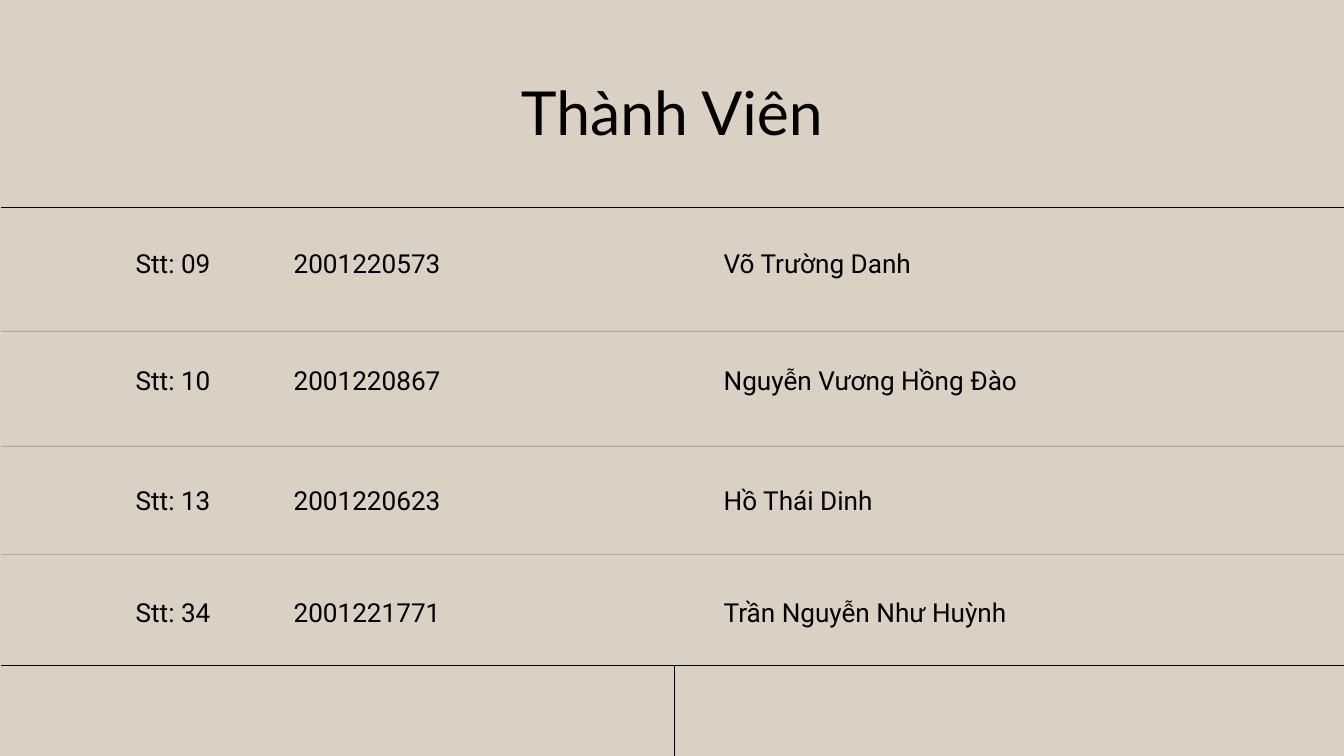
from lxml import etree
from pptx import Presentation
from pptx.dml.color import RGBColor
from pptx.enum import shapes, text
from pptx.oxml.ns import qn
from pptx import util as u

WIDTH, HEIGHT = 20, 11.25
PAPER, INK = "DBD0C4", "000000"
MARGIN = 2.02
TABS = (2.35, 8.75)  # student number and name, measured from the margin
RULE_TOP, RULE_BOTTOM = 3.08, 9.9
MIDDLE = 10.03

TITLE = "Thành Viên"
# text top, rule below (None for the last row), cells
MEMBERS = [
    (3.56, 4.93, ("Stt: 09", "2001220573", "Võ Trường Danh")),
    (5.31, 6.64, ("Stt: 10", "2001220867", "Nguyễn Vương Hồng Đào")),
    (7.1, 8.25, ("Stt: 13", "2001220623", "Hồ Thái Dinh")),
    (8.76, None, ("Stt: 34", "2001221771", "Trần Nguyễn Như Huỳnh")),
]
TITLE_FONT = {"name": "Lato", "size": u.Pt(65)}
ROW_FONT = {"name": "Roboto", "size": u.Pt(28)}


def color(value):
    return RGBColor.from_string(value)


def add_rule(page, x1, y1, x2, y2, opacity=100):
    rule = page.shapes.add_connector(
        shapes.MSO_CONNECTOR.STRAIGHT, *map(u.Inches, (x1, y1, x2, y2)))
    rule.line.width = u.Pt(0.75)
    rule.line.color.rgb = color(INK)
    properties = rule._element.spPr
    if opacity < 100:
        tint = properties.find(".//" + qn("a:srgbClr"))
        etree.SubElement(tint, qn("a:alpha"), val=str(opacity * 1000))
    etree.SubElement(properties, qn("a:effectLst"))


def add_text(page, words, place, font, spacing, align, tabs=()):
    box = page.shapes.add_textbox(*map(u.Inches, place))
    frame = box.text_frame
    settings = {"word_wrap": True, "auto_size": text.MSO_AUTO_SIZE.SHAPE_TO_FIT_TEXT}
    settings.update({f"margin_{side}": 0 for side in ("left", "top", "right", "bottom")})
    for name, value in settings.items():
        setattr(frame, name, value)
    para = frame.paragraphs[0]
    if tabs:
        stops = etree.SubElement(para._p.get_or_add_pPr(), qn("a:tabLst"))
        for stop in tabs:
            etree.SubElement(stops, qn("a:tab"), pos=str(u.Inches(stop)), algn="l")
    para.alignment = align
    para.line_spacing = u.Pt(spacing)
    span = para.add_run()
    span.text = words
    for name, value in font.items():
        setattr(span.font, name, value)
    span.font.color.rgb = color(INK)


def main():
    deck = Presentation()
    deck.slide_width, deck.slide_height = u.Inches(WIDTH), u.Inches(HEIGHT)
    page = deck.slides.add_slide(deck.slide_layouts[6])
    page.background.fill.solid()
    page.background.fill.fore_color.rgb = color(PAPER)

    # Frame of the list, with the divider below it
    for y in (RULE_TOP, RULE_BOTTOM):
        add_rule(page, 0.02, y, WIDTH, y)
    add_rule(page, MIDDLE, RULE_BOTTOM, MIDDLE, HEIGHT)

    # Title
    add_text(page, TITLE, (MARGIN, 1.11, WIDTH - 2 * MARGIN, 1.09),
             TITLE_FONT, 78, text.PP_ALIGN.CENTER)

    # Members, with faint rules between the rows
    for top, rule, cells in MEMBERS:
        add_text(page, "\t".join(cells), (MARGIN, top, 14.56, 0.55),
                 ROW_FONT, 41.9, text.PP_ALIGN.LEFT, TABS)
        if rule:
            add_rule(page, 0.02, rule, WIDTH, rule, opacity=30)

    deck.save("out.pptx")


if __name__ == "__main__":
    main()
